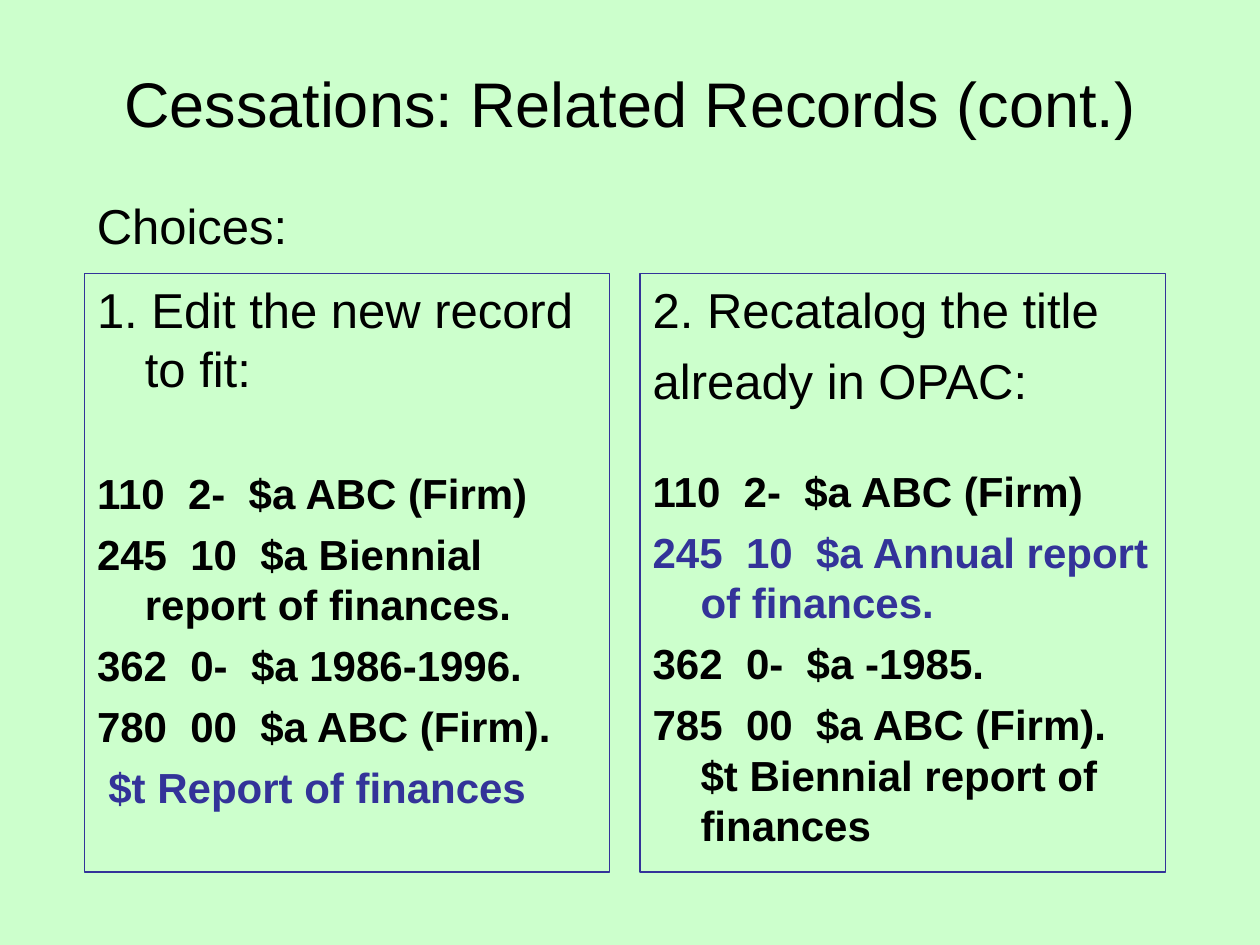
from lxml import etree
from pptx import Presentation
from pptx.dml.color import RGBColor
from pptx.enum.text import MSO_ANCHOR, MSO_AUTO_SIZE, PP_ALIGN
from pptx.oxml.ns import qn
from pptx.util import Inches, Pt

CENTER, LEFT = PP_ALIGN.CENTER, PP_ALIGN.LEFT
MIDDLE, TOP = MSO_ANCHOR.MIDDLE, MSO_ANCHOR.TOP
FIXED = MSO_AUTO_SIZE.NONE
COLORS = {"page": "CCFFCC", "text": "000000", "accent": "333399"}
FONT = "Arial"
HANG = 0.38

HEAD = {"size": 28, "hang": HANG}
FIELD = {"size": 24, "bold": True, "before": 6, "hang": HANG}
MARK = {**FIELD, "color": "accent"}
EDIT = [
    ("1. Edit the new record to fit:", HEAD),
    ("110  2-  $a ABC (Firm)", {**FIELD, "before": 40}),
    ("245  10  $a Biennial report of finances.", FIELD),
    ("362  0-  $a 1986-1996.", FIELD),
    ("780  00  $a ABC (Firm).", FIELD),
    ("$t Report of finances", {**MARK, "hang": 0.29}),
]
RECAT = [
    ("2. Recatalog the title", HEAD),
    ("already in OPAC:", {**HEAD, "before": 7}),
    ("110  2-  $a ABC (Firm)", {**FIELD, "before": 32}),
    ("245  10  $a Annual report of finances.", MARK),
    ("362  0-  $a -1985.", FIELD),
    ("785  00  $a ABC (Firm). $t Biennial report of finances", FIELD),
]


def rgb(name):
    return RGBColor.from_string(COLORS[name])


def write(para, text, size=28, bold=False, color="text", before=0,
          hang=0, align=LEFT):
    """Fill one paragraph; a hanging line starts left of the body margin."""
    props = para._p.get_or_add_pPr()
    props.set("marL", str(Inches(HANG if hang else 0)))
    props.set("indent", str(Inches(-hang)))
    etree.SubElement(props, qn("a:buNone"))
    para.alignment = align
    para.space_before = Pt(before)
    run = para.add_run()
    run.text = text
    font = run.font
    font.name, font.size, font.bold = FONT, Pt(size), bold
    font.color.rgb = rgb(color)


class Deck:
    def __init__(self):
        self.prs = Presentation()
        self.prs.slide_width = Inches(10)
        self.prs.slide_height = Inches(7.5)
        self.slide = self.prs.slides.add_slide(self.prs.slide_layouts[3])
        fill = self.slide.background.fill
        fill.solid()
        fill.fore_color.rgb = rgb("page")

    def place(self, shape, left, top, width, height, anchor=TOP):
        shape.left, shape.top = Inches(left), Inches(top)
        shape.width, shape.height = Inches(width), Inches(height)
        frame = shape.text_frame
        frame.auto_size = FIXED
        frame.vertical_anchor = anchor
        return frame

    def title(self, text, *area):
        frame = self.place(self.slide.shapes.title, *area, anchor=MIDDLE)
        write(frame.paragraphs[0], text, size=36, align=CENTER)

    def panel(self, index, lines, *area):
        shape = self.slide.placeholders[index]
        frame = self.place(shape, *area)
        shape.line.color.rgb = rgb("accent")
        shape.line.width = Pt(0.75)
        for i, (text, style) in enumerate(lines):
            para = frame.add_paragraph() if i else frame.paragraphs[0]
            write(para, text, **style)

    def label(self, text, *area):
        box = self.slide.shapes.add_textbox(*map(Inches, area))
        box.text_frame.word_wrap = False
        write(box.text_frame.paragraphs[0], text)


def main():
    deck = Deck()
    deck.title("Cessations: Related Records (cont.)", 0.5, 0.3, 9, 1.03)
    for i, lines in enumerate((EDIT, RECAT)):
        deck.panel(i + 1, lines, 0.67 + i * 4.41, 2.17, 4.17, 4.75)
    deck.label("Choices:", 0.67, 1.5, 1.71, 0.57)
    deck.prs.save("out.pptx")


if __name__ == "__main__":
    main()
